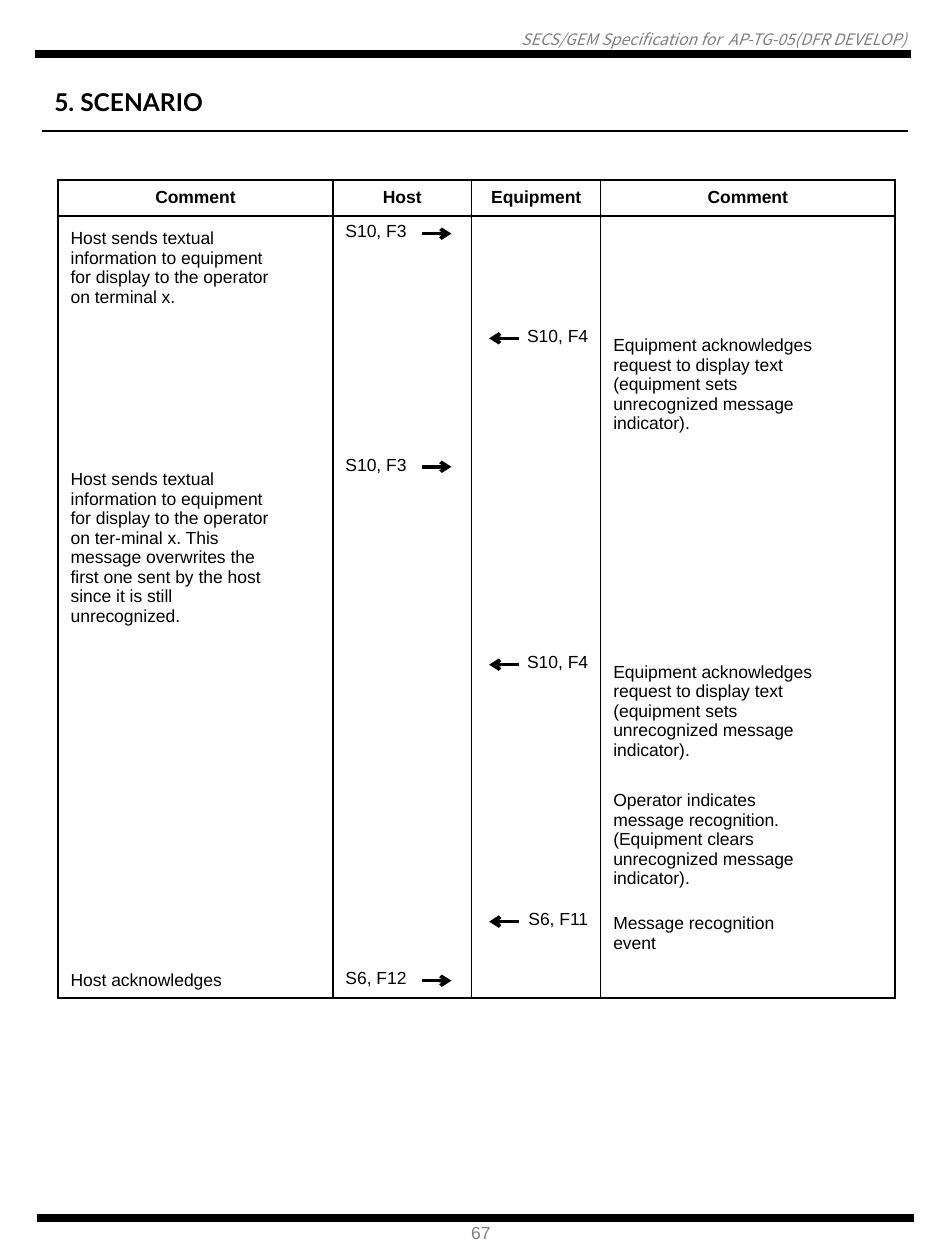
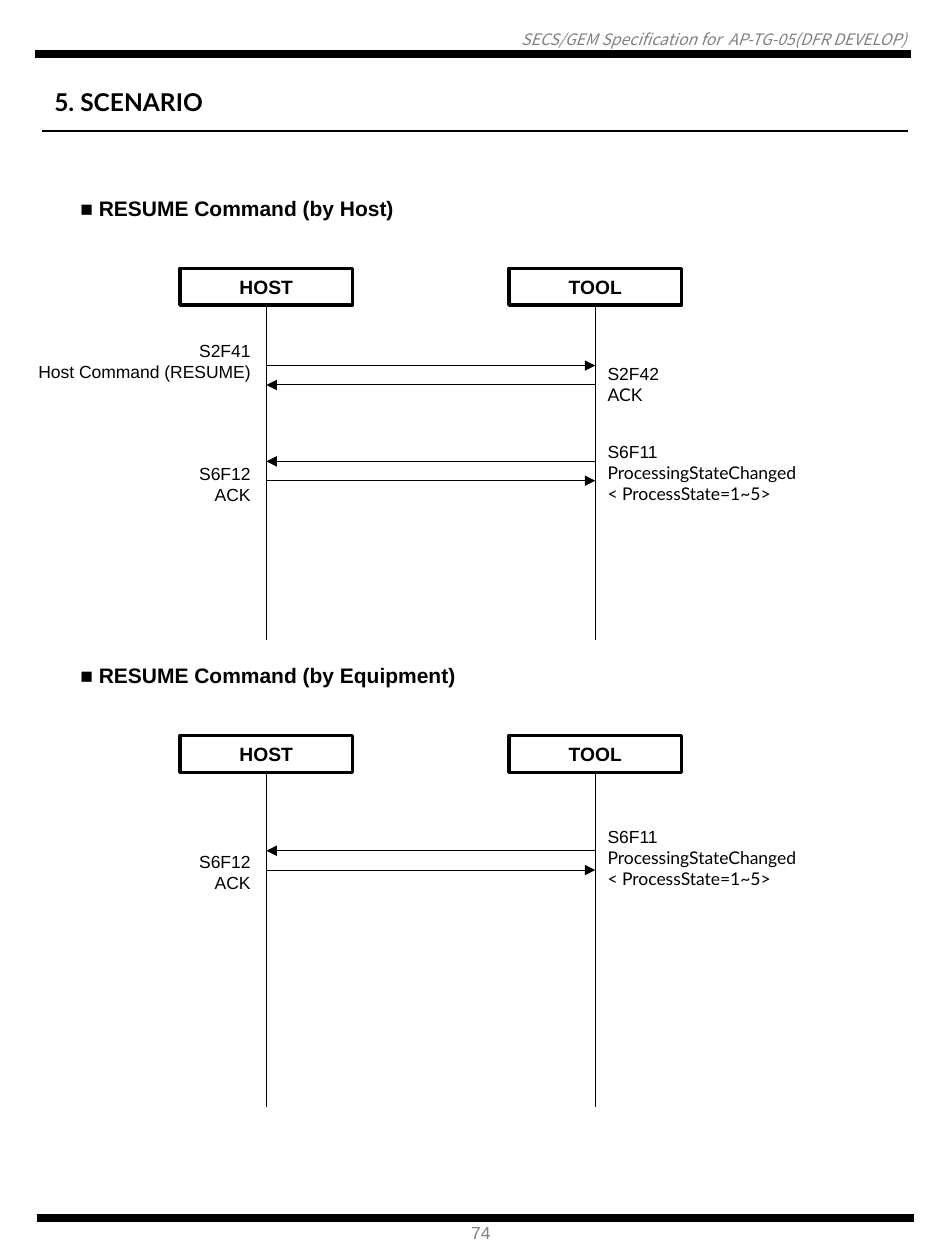
from dataclasses import dataclass
from itertools import accumulate

import lxml.etree
import pptx
import pptx.dml.color
import pptx.enum.shapes
import pptx.enum.text
import pptx.oxml.ns
import pptx.util

Cm = pptx.util.Cm
Pt = pptx.util.Pt
ALIGN = pptx.enum.text.PP_ALIGN
ANCHOR = pptx.enum.text.MSO_ANCHOR
qn = pptx.oxml.ns.qn

COLORS = {"ink": "000000", "muted": "808080", "paper": "FFFFFF"}
BODY_FONT = "Arial"
TITLE_FONT = "Lato"
HEADER_FONT = "Noto Sans CJK KR"

TABLE_LEFT, TABLE_TOP = 1.17, 3.63
COLUMN_WIDTHS = (5.54, 2.8, 2.6, 5.93)
COLUMN_TITLES = ("Comment", "Host", "Equipment", "Comment")
HEADING_ROW = 0.72
ARROW_DROP = 0.36
HOST_ARROW = (8.5, 9.1)
EQUIPMENT_ARROW = (10.46, 9.86)

HOST_X, TOOL_X = 5.37, 12.0
LANE_WIDTH, LANE_HEIGHT = 3.48, 0.74
LANE_DROP, LIFELINE_END = 1.6, 9.09
REPLY_GAP = 0.39
LABEL_WIDTH = 5.3


@dataclass(frozen=True)
class Box:
    left: float
    top: float
    width: float
    height: float

    def lengths(self) -> tuple:
        return tuple(Cm(v) for v in (self.left, self.top, self.width, self.height))


@dataclass(frozen=True)
class Style:
    size: float = 10
    font: str = BODY_FONT
    color: str = "ink"
    bold: bool = False
    italic: bool = False
    align: int = ALIGN.LEFT


@dataclass(frozen=True)
class Step:
    height: float
    host_note: str = ""
    host_message: str = ""
    equipment_message: str = ""
    equipment_note: str = ""


@dataclass(frozen=True)
class Exchange:
    drop: float
    host_starts: bool
    host_label: str
    host_label_drop: float
    tool_label: str
    tool_label_drop: float


@dataclass(frozen=True)
class Sequence:
    heading: str
    top: float
    exchanges: tuple


ACKNOWLEDGES = (
    "Equipment acknowledges\nrequest to display text\n(equipment sets\n"
    "unrecognized message\nindicator)."
)
SENDS = "Host sends textual\ninformation to equipment\nfor display to the operator\n"
STEPS = (
    Step(2.11, SENDS + "on terminal x.", "S10, F3"),
    Step(2.59, equipment_message="S10, F4", equipment_note=ACKNOWLEDGES),
    Step(
        3.99,
        SENDS + "on ter-minal x. This\nmessage overwrites the\n"
        "first one sent by the host\nsince it is still\nunrecognized.",
        "S10, F3",
    ),
    Step(2.59, equipment_message="S10, F4", equipment_note=ACKNOWLEDGES),
    Step(
        2.59,
        equipment_note="Operator indicates\nmessage recognition.\n(Equipment clears\n"
        "unrecognized message\nindicator).",
    ),
    Step(1.19, equipment_message="S6, F11", equipment_note="Message recognition\nevent"),
    Step(0.71, "Host acknowledges", "S6, F12"),
)

STATE_CHANGED = "S6F11\nProcessingStateChanged\n< ProcessState=1~5>"
SEQUENCES = (
    Sequence(
        "■ RESUME Command (by Host)",
        3.81,
        (
            Exchange(3.56, True, "S2F41\nHost Command (RESUME)", 2.9, "S2F42\nACK", 3.38),
            Exchange(5.49, False, "S6F12\nACK", 5.38, STATE_CHANGED, 4.95),
        ),
    ),
    Sequence(
        "■ RESUME Command (by Equipment)",
        13.23,
        (Exchange(3.92, False, "S6F12\nACK", 3.79, STATE_CHANGED, 3.28),),
    ),
)


def rgb(name: str) -> pptx.dml.color.RGBColor:
    return pptx.dml.color.RGBColor.from_string(COLORS[name])


def format_paragraph(paragraph, style: Style) -> None:
    paragraph.alignment = style.align
    for run in paragraph.runs:
        font = run.font
        font.name, font.size = style.font, Pt(style.size)
        font.bold, font.italic = style.bold, style.italic
        font.color.rgb = rgb(style.color)


def fill_text(frame, text: str, style: Style) -> None:
    frame.text = text
    for paragraph in frame.paragraphs:
        format_paragraph(paragraph, style)


def add_text(shapes, box: Box, text: str, style: Style, anchor=ANCHOR.TOP, wrap=True):
    frame = shapes.add_textbox(*box.lengths()).text_frame
    frame.word_wrap = wrap
    frame.vertical_anchor = anchor
    fill_text(frame, text, style)
    return frame


def add_line(shapes, start: tuple, end: tuple, weight: float, arrow: str = "") -> None:
    line = shapes.add_connector(
        pptx.enum.shapes.MSO_CONNECTOR.STRAIGHT, *(Cm(v) for v in start + end)
    )
    line.line.color.rgb = rgb("ink")
    line.line.width = Pt(weight)
    properties = line._element.spPr
    if arrow:
        lxml.etree.SubElement(properties.find(qn("a:ln")), qn("a:tailEnd"), type=arrow)
    lxml.etree.SubElement(properties, qn("a:effectLst"))


def add_page(deck, number: int):
    slide = deck.slides.add_slide(deck.slide_layouts[5])
    shapes = slide.shapes

    header = add_text(
        shapes,
        Box(0.13, 0.61, 18.14, 0.38),
        "SECS/GEM Specification for  AP-TG-05(DFR DEVELOP)",
        Style(9, HEADER_FONT, "muted", italic=True, align=ALIGN.RIGHT),
    )
    header.margin_left = header.margin_right = header.margin_top = header.margin_bottom = 0
    add_line(shapes, (0.71, 1.09), (18.36, 1.09), 4.75)
    add_line(shapes, (0.74, 24.56), (18.42, 24.56), 4.75)
    add_text(
        shapes, Box(9.25, 24.51, 0.94, 0.69), str(number), Style(color="muted"), wrap=False
    )

    title = shapes.title
    title.left, title.top, title.width, title.height = Box(0.84, 1.63, 3.81, 0.86).lengths()
    frame = title.text_frame
    frame.auto_size = pptx.enum.text.MSO_AUTO_SIZE.NONE
    frame.word_wrap = False
    frame.vertical_anchor = ANCHOR.TOP
    fill_text(frame, "5. SCENARIO", Style(14, TITLE_FONT, bold=True))
    add_line(shapes, (0.84, 2.64), (18.31, 2.64), 0.75)
    return slide


def set_borders(cell, visible: str) -> None:
    properties = cell._tc.get_or_add_tcPr()
    for position, side in enumerate("LRTB"):
        border = lxml.etree.Element(qn(f"a:ln{side}"), w=str(Pt(1)))
        if side in visible:
            fill = lxml.etree.SubElement(border, qn("a:solidFill"))
            lxml.etree.SubElement(fill, qn("a:srgbClr"), val=COLORS["ink"])
        else:
            lxml.etree.SubElement(border, qn("a:noFill"))
        properties.insert(position, border)


def fill_cell(cell, text: str, style: Style, anchor, visible: str) -> None:
    cell.fill.solid()
    cell.fill.fore_color.rgb = rgb("paper")
    cell.vertical_anchor = anchor
    set_borders(cell, visible)
    fill_text(cell.text_frame, text, style)
    if not text:
        paragraph = cell.text_frame.paragraphs[0]
        lxml.etree.SubElement(paragraph._p, qn("a:endParaRPr"), sz=str(style.size * 100))


def add_scenario_table(shapes) -> None:
    heights = [HEADING_ROW] + [step.height for step in STEPS]
    box = Box(TABLE_LEFT, TABLE_TOP, sum(COLUMN_WIDTHS), sum(heights))
    table = shapes.add_table(len(heights), len(COLUMN_WIDTHS), *box.lengths()).table
    for column, width in zip(table.columns, COLUMN_WIDTHS):
        column.width = Cm(width)
    for row, height in zip(table.rows, heights):
        row.height = Cm(height)

    heading = Style(bold=True, align=ALIGN.CENTER)
    for cell, text in zip(table.rows[0].cells, COLUMN_TITLES):
        fill_cell(cell, text, heading, ANCHOR.MIDDLE, "LRTB")

    left, right = Style(), Style(align=ALIGN.RIGHT)
    for number, step in enumerate(STEPS, 1):
        visible = "LR" + "T" * (number == 1) + "B" * (number == len(STEPS))
        contents = (
            (step.host_note, left, ANCHOR.MIDDLE),
            (step.host_message, left, ANCHOR.TOP),
            (step.equipment_message, right, ANCHOR.TOP),
            (step.equipment_note, left, ANCHOR.MIDDLE),
        )
        for cell, content in zip(table.rows[number].cells, contents):
            fill_cell(cell, *content, visible)

    for step, offset in zip(STEPS, accumulate(heights)):
        y = TABLE_TOP + offset + ARROW_DROP
        if step.host_message:
            add_line(shapes, (HOST_ARROW[0], y), (HOST_ARROW[1], y), 2, "arrow")
        if step.equipment_message:
            add_line(shapes, (EQUIPMENT_ARROW[0], y), (EQUIPMENT_ARROW[1], y), 2, "arrow")


def add_lane(slide_shapes, name: str, x: float, top: float) -> None:
    shapes = slide_shapes.add_group_shape().shapes
    box = Box(x - LANE_WIDTH / 2, top + LANE_DROP, LANE_WIDTH, LANE_HEIGHT)
    lane = shapes.add_shape(pptx.enum.shapes.MSO_SHAPE.RECTANGLE, *box.lengths())
    lane.shadow.inherit = False
    lane.fill.background()
    lane.line.color.rgb = rgb("ink")
    lane.line.width = Pt(2)
    lane.text_frame.vertical_anchor = ANCHOR.MIDDLE
    fill_text(lane.text_frame, name, Style(11, bold=True, align=ALIGN.CENTER))
    add_line(shapes, (x, box.top + LANE_HEIGHT), (x, top + LIFELINE_END), 0.75)


def add_label(shapes, text: str, left: float, top: float, style: Style):
    height = 0.26 + 0.43 * len(text.splitlines())
    return add_text(shapes, Box(left, top, LABEL_WIDTH, height), text, style, ANCHOR.MIDDLE)


def add_exchange(shapes, exchange: Exchange, top: float) -> None:
    ends = (HOST_X, TOOL_X) if exchange.host_starts else (TOOL_X, HOST_X)
    y = top + exchange.drop
    for (start, end), line_y in ((ends, y), (ends[::-1], y + REPLY_GAP)):
        add_line(shapes, (start, line_y), (end, line_y), 0.5, "triangle")
    add_label(
        shapes, exchange.host_label, 0, top + exchange.host_label_drop, Style(align=ALIGN.RIGHT)
    )
    tool = add_label(
        shapes, exchange.tool_label, TOOL_X, top + exchange.tool_label_drop, Style()
    )
    for detail in tool.paragraphs[1:]:
        format_paragraph(detail, Style(font=TITLE_FONT))


def add_sequence(shapes, sequence: Sequence) -> None:
    add_text(
        shapes, Box(1.37, sequence.top, 17.15, 0.76), sequence.heading, Style(12, bold=True)
    )
    for name, x in (("HOST", HOST_X), ("TOOL", TOOL_X)):
        add_lane(shapes, name, x, sequence.top)
    for exchange in sequence.exchanges:
        add_exchange(shapes, exchange, sequence.top)


def main() -> None:
    deck = pptx.Presentation()
    deck.slide_width, deck.slide_height = Cm(19.05), Cm(25.4)
    add_scenario_table(add_page(deck, 67).shapes)
    resume = add_page(deck, 74)
    for sequence in SEQUENCES:
        add_sequence(resume.shapes, sequence)
    deck.save("out.pptx")


if __name__ == "__main__":
    main()
